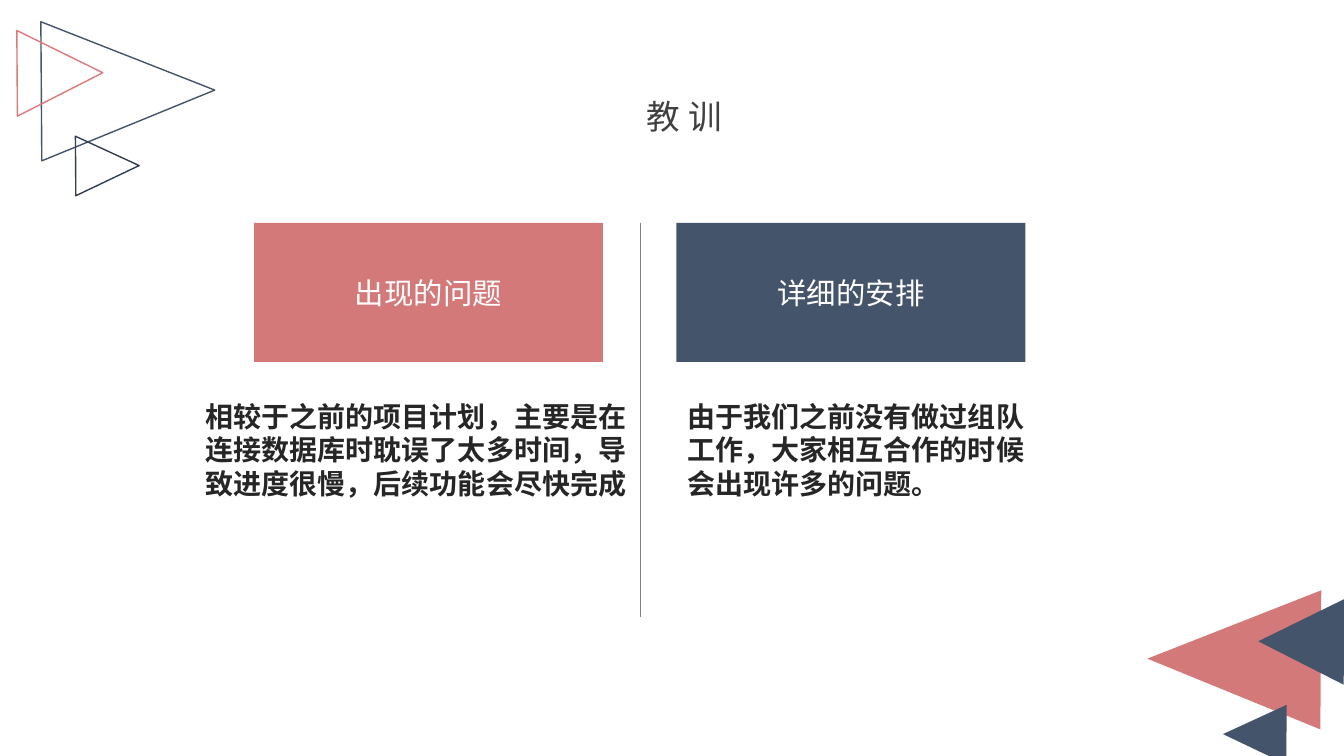
"""Lessons-learned slide: two headed columns with triangle ornaments in the corners."""
from lxml.etree import SubElement
from pptx import Presentation
from pptx.dml.color import RGBColor as RGB
from pptx.enum.shapes import MSO_CONNECTOR as CONN, MSO_SHAPE as SHAPE
from pptx.enum.text import MSO_ANCHOR as ANCHOR, PP_ALIGN as ALIGN
from pptx.oxml.ns import qn
from pptx.util import Inches, Pt

FONT = "Noto Sans CJK SC"
C = {"rose": "D37979", "pink": "DD7979", "slate": "44546A", "navy": "333F50",
     "title": "404040", "body": "262626", "rule": "808080", "white": "FFFFFF"}


def add_text(sp, text, size, color, bold=False, align=ALIGN.CENTER,
             anchor=ANCHOR.MIDDLE, inset=(0.1, 0.05), leading=None, spacing=0):
    tf = sp.text_frame
    tf.word_wrap = True
    tf.vertical_anchor = anchor
    tf.margin_left = tf.margin_right = Inches(inset[0])
    tf.margin_top = tf.margin_bottom = Inches(inset[1])
    p = tf.paragraphs[0]
    p.alignment = align
    if leading:
        p.line_spacing = Pt(leading)
    r = p.add_run()
    r.text = text
    r.font.size, r.font.bold, r.font.name = Pt(size), bold, FONT
    r.font.color.rgb = RGB.from_string(C[color])
    rPr = r.font._element
    rPr.set("spc", str(spacing * 100))
    SubElement(rPr, qn("a:ea"), typeface=FONT)


def add_shape(kind, box, fill=None, line=None, rotation=0):
    sp = s.shapes.add_shape(kind, *map(Inches, box))
    sp.shadow.inherit = False
    sp.rotation = rotation
    if fill:
        sp.fill.solid()
        sp.fill.fore_color.rgb = RGB.from_string(C[fill])
    else:
        sp.fill.background()
    if line:
        sp.line.color.rgb = RGB.from_string(C[line])
        sp.line.width = Pt(1)
    else:
        sp.line.fill.background()
    return sp


prs = Presentation()
prs.slide_width, prs.slide_height = Inches(13.33), Inches(7.5)
s = prs.slides.add_slide(prs.slide_layouts[5])

LARGE, SMALL, MEDIUM = (1.38, 1.72), (0.59, 0.63), (0.85, 0.85)
for left, top, size, fill, line, rotation in [
    (11.55, 5.68, LARGE, "rose", None, 270.4),
    (12.15, 6.97, SMALL, "slate", None, 270.4),
    (12.48, 5.94, MEDIUM, "slate", None, 270.4),
    (0.58, 0.04, LARGE, None, "slate", 89.6),
    (0.77, 1.33, SMALL, None, "navy", 89.6),
    (0.17, 0.3, MEDIUM, None, "pink", 89.6),
]:
    add_shape(SHAPE.ISOSCELES_TRIANGLE, (left, top, *size), fill, line, rotation)

title = s.shapes.title
title.left, title.top, title.width, title.height = map(Inches, (3.86, 0.95, 5.85, 0.4))
add_text(title, "教训", 24, "title", inset=(0, 0), spacing=6)

CARD_TOP, CARD_W, CARD_H = 2.21, 3.46, 1.38
RULE_X, RULE_BOTTOM = 6.35, 6.12
BODY_TOP, BODY_H = 3.91, 1.11

rule = s.shapes.add_connector(CONN.STRAIGHT, Inches(RULE_X), Inches(CARD_TOP),
                              Inches(RULE_X), Inches(RULE_BOTTOM))
rule.line.color.rgb = RGB.from_string(C["rule"])
rule.line.width = Pt(0.25)
SubElement(rule._element.spPr, qn("a:effectLst"))

columns = [
    (2.52, "rose", "出现的问题", 1.94, 4.4,
     "相较于之前的项目计划，主要是在连接数据库时耽误了太多时间，导致进度很慢，后续功能会尽快完成"),
    (6.71, "slate", "详细的安排", 6.72, 3.74,
     "由于我们之前没有做过组队工作，大家相互合作的时候会出现许多的问题。"),
]
for card_x, fill, heading, body_x, body_w, body in columns:
    card = add_shape(SHAPE.RECTANGLE, (card_x, CARD_TOP, CARD_W, CARD_H), fill)
    add_text(card, heading, 21, "white")
    box = s.shapes.add_textbox(*map(Inches, (body_x, BODY_TOP, body_w, BODY_H)))
    add_text(box, body, 20, "body", bold=True, align=ALIGN.LEFT,
             anchor=ANCHOR.TOP, leading=24)

prs.save("out.pptx")
